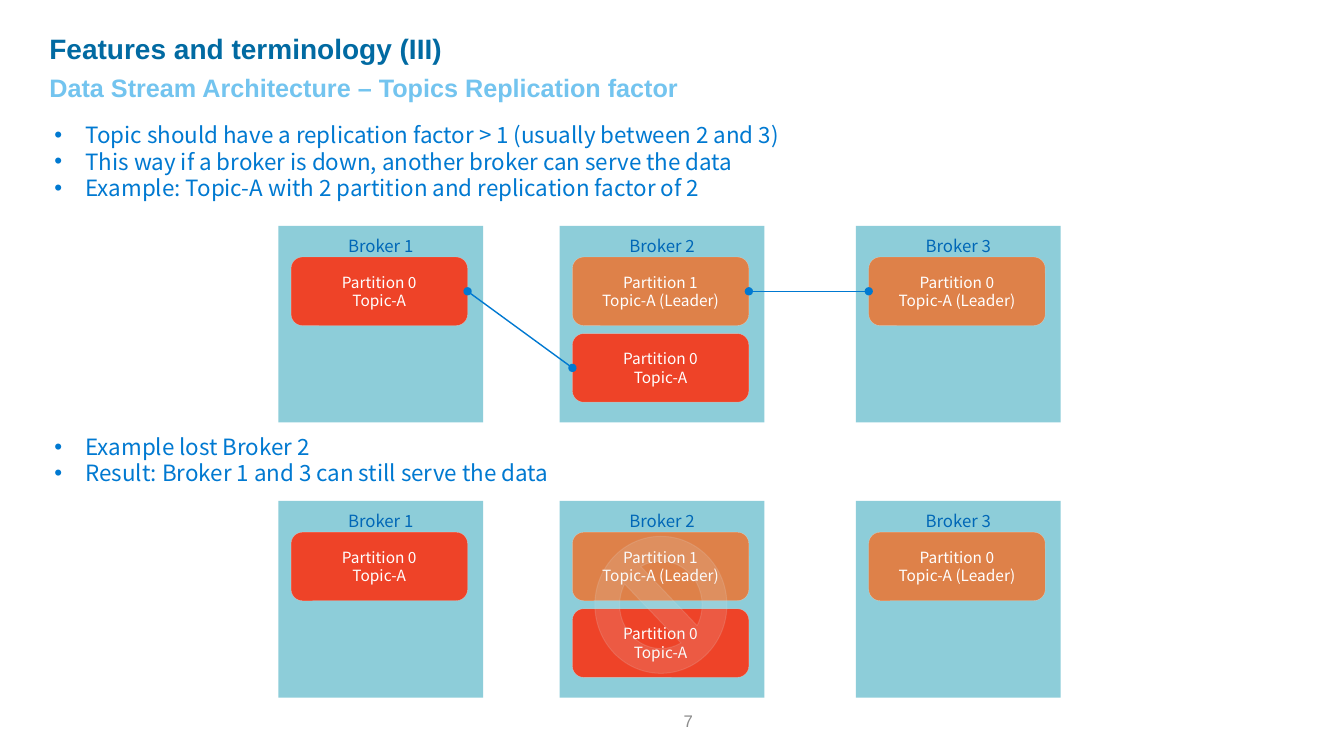
import pptx
import pptx.util
import pptx.dml.color
import pptx.enum.shapes
import pptx.enum.text
import pptx.oxml.ns
import lxml.etree

RGBColor = pptx.dml.color.RGBColor
Align = pptx.enum.text.PP_ALIGN
Anchor = pptx.enum.text.MSO_ANCHOR
Shape = pptx.enum.shapes.MSO_SHAPE
qn = pptx.oxml.ns.qn

TITLE_BLUE = RGBColor(0x01, 0x6A, 0xA2)
SUBTITLE_BLUE = RGBColor(0x73, 0xC4, 0xEF)
TEXT_BLUE = RGBColor(0x00, 0x79, 0xD1)
BROKER_TEXT = RGBColor(0x00, 0x67, 0xB7)
BROKER_FILL = RGBColor(0x87, 0xCB, 0xD8)
RED = RGBColor(0xEE, 0x43, 0x28)
ORANGE = RGBColor(0xF3, 0x6F, 0x26)
WHITE = RGBColor(0xFF, 0xFF, 0xFF)
LIGHT_GREY = RGBColor(0xE2, 0xE2, 0xE2)
NUMBER_GREY = RGBColor(0x8C, 0x8C, 0x8C)
BODY_FONT = "Noto Sans CJK KR"
HEADING_FONT = "Arial"
LINE_HEIGHT = 1.18

SLIDE_WIDTH = pptx.util.Inches(13.33)
SLIDE_HEIGHT = pptx.util.Inches(7.5)

# Lengths below are percentages of the slide's width and height
BROKER_LEFTS = (20.71, 41.64, 63.69)
BROKER_WIDTH, BROKER_HEIGHT = 15.23, 26
PARTITION_LEFT, PARTITION_TOP = 0.95, 4.13
PARTITION_WIDTH, PARTITION_HEIGHT = 13.13, 9.07
PARTITION_PITCH = 10.13

# Each broker lists its partitions from top to bottom: text, fill, opacity
REPLICA = ("Partition 0\nTopic-A", RED, 100)
LEADERS = [(f"Partition {number}\nTopic-A (Leader)", ORANGE, 80) for number in (0, 1)]
BROKERS = ([REPLICA], [LEADERS[1], REPLICA], [LEADERS[0]])


def place(left, top, width, height):
    return [round(SLIDE_WIDTH * left / 100), round(SLIDE_HEIGHT * top / 100),
            round(SLIDE_WIDTH * width / 100), round(SLIDE_HEIGHT * height / 100)]


def paint(color_format, color, opacity):
    color_format.solid()
    color_format.fore_color.rgb = color
    if opacity < 100:
        fill = color_format._xPr.find(qn("a:solidFill"))
        lxml.etree.SubElement(fill[0], qn("a:alpha"), val=str(opacity * 1000))


def write(shape, text, size, color, font=BODY_FONT, align=Align.LEFT, anchor=Anchor.TOP,
          inset=0.1, inset_y=None, bold=False, bullets=False):
    frame = shape.text_frame
    frame.word_wrap = True
    frame.vertical_anchor = anchor
    frame.margin_left = frame.margin_right = pptx.util.Inches(inset)
    frame.margin_top = frame.margin_bottom = pptx.util.Inches(inset if inset_y is None else inset_y)
    frame.text = text
    for paragraph in frame.paragraphs:
        if bullets:
            properties = paragraph._p.get_or_add_pPr()
            indent = pptx.util.Inches(0.31)
            properties.set("marL", str(indent))
            properties.set("indent", str(-indent))
            lxml.etree.SubElement(properties, qn("a:buFont"), typeface="Arial")
            lxml.etree.SubElement(properties, qn("a:buChar"), char="•")
        paragraph.alignment = align
        if font == BODY_FONT:
            paragraph.line_spacing = pptx.util.Pt(round(size * LINE_HEIGHT, 1))
        for run in paragraph.runs:
            run.font.size = pptx.util.Pt(size)
            run.font.name = font
            run.font.bold = bold
            run.font.color.rgb = color


def add_text(slide, box, text, size, color, **options):
    write(slide.shapes.add_textbox(*place(*box)), text, size, color, **options)


def add_bullets(slide, box, lines):
    add_text(slide, box, "\n".join(lines), 16, TEXT_BLUE, align=Align.JUSTIFY, bullets=True)


def add_panel(slide, kind, box, color, opacity):
    shape = slide.shapes.add_shape(kind, *place(*box))
    shape.shadow.inherit = False
    paint(shape.fill, color, opacity)
    shape.line.fill.background()
    return shape


def outline(shape, color, width, opacity):
    shape.line.width = pptx.util.Pt(width)
    paint(shape.line.fill, color, opacity)


def add_broker(slide, left, top, name, partitions):
    """Draw a broker and return its partition shapes."""
    broker = add_panel(slide, Shape.RECTANGLE, (left, top, BROKER_WIDTH, BROKER_HEIGHT),
                       BROKER_FILL, 95)
    write(broker, name, 12, BROKER_TEXT, align=Align.CENTER)
    shapes = []
    for row, (text, color, opacity) in enumerate(partitions):
        box = (left + PARTITION_LEFT, top + PARTITION_TOP + row * PARTITION_PITCH,
               PARTITION_WIDTH, PARTITION_HEIGHT)
        shape = add_panel(slide, Shape.ROUNDED_RECTANGLE, box, color, opacity)
        outline(shape, WHITE, 0.25, 39)
        write(shape, text, 11, WHITE, align=Align.CENTER, anchor=Anchor.MIDDLE, inset_y=0.05)
        shapes.append(shape)
    return shapes


def add_cluster(slide, top):
    return [add_broker(slide, left, top, f"Broker {number}", partitions)
            for number, (left, partitions) in enumerate(zip(BROKER_LEFTS, BROKERS), 1)]


def link(slide, source, target):
    """Join the right side of one partition to the left side of another."""
    connector = slide.shapes.add_connector(pptx.enum.shapes.MSO_CONNECTOR.STRAIGHT, 0, 0, 0, 0)
    connector.begin_connect(source, 3)
    connector.end_connect(target, 1)
    connector.line.width = pptx.util.Pt(1)
    connector.line.color.rgb = TEXT_BLUE
    line = connector.line._get_or_add_ln()
    for end in ("a:headEnd", "a:tailEnd"):
        lxml.etree.SubElement(line, qn(end), type="oval")
    lxml.etree.SubElement(connector._element.spPr, qn("a:effectLst"))


def add_lost_sign(slide, left, top):
    sign = add_panel(slide, Shape.NO_SYMBOL, (left + 2.62, top + 4.67, 9.83, 18.13),
                     LIGHT_GREY, 15)
    outline(sign, LIGHT_GREY, 0.75, 15)


def add_headings(slide):
    add_text(slide, (3.3, 3.47, 62.27, 5.87), "Features and terminology (III)", 20,
             TITLE_BLUE, font=HEADING_FONT, inset=0.05, bold=True)
    add_text(slide, (3.3, 8.93, 72.02, 5.33),
             "Data Stream Architecture – Topics Replication factor", 18,
             SUBTITLE_BLUE, font=HEADING_FONT, inset=0.05, bold=True)


def main():
    presentation = pptx.Presentation()
    presentation.slide_width = SLIDE_WIDTH
    presentation.slide_height = SLIDE_HEIGHT
    slide = presentation.slides.add_slide(presentation.slide_layouts[6])

    # Page number and headings
    add_text(slide, (25.06, 92.67, 27.23, 5.33), "7", 12, NUMBER_GREY, font=HEADING_FONT,
             align=Align.RIGHT, anchor=Anchor.MIDDLE, inset_y=0.05)
    add_headings(slide)

    # Replicated topic
    add_bullets(slide, (3.3, 14.8, 92.5, 13.47), [
        "Topic should have a replication factor > 1 (usually between 2 and 3)",
        "This way if a broker is down, another broker can serve the data",
        "Example: Topic-A with 2 partition and replication factor of 2"])
    first, second, third = add_cluster(slide, 29.87)
    link(slide, first[0], second[1])
    link(slide, second[0], third[0])

    # Lost broker
    lost_top = 66.27
    add_bullets(slide, (3.3, 56, 92.5, 9.87), [
        "Example lost Broker 2",
        "Result: Broker 1 and 3 can still serve the data"])
    add_cluster(slide, lost_top)
    add_lost_sign(slide, BROKER_LEFTS[1], lost_top)

    presentation.save("out.pptx")


if __name__ == "__main__":
    main()
